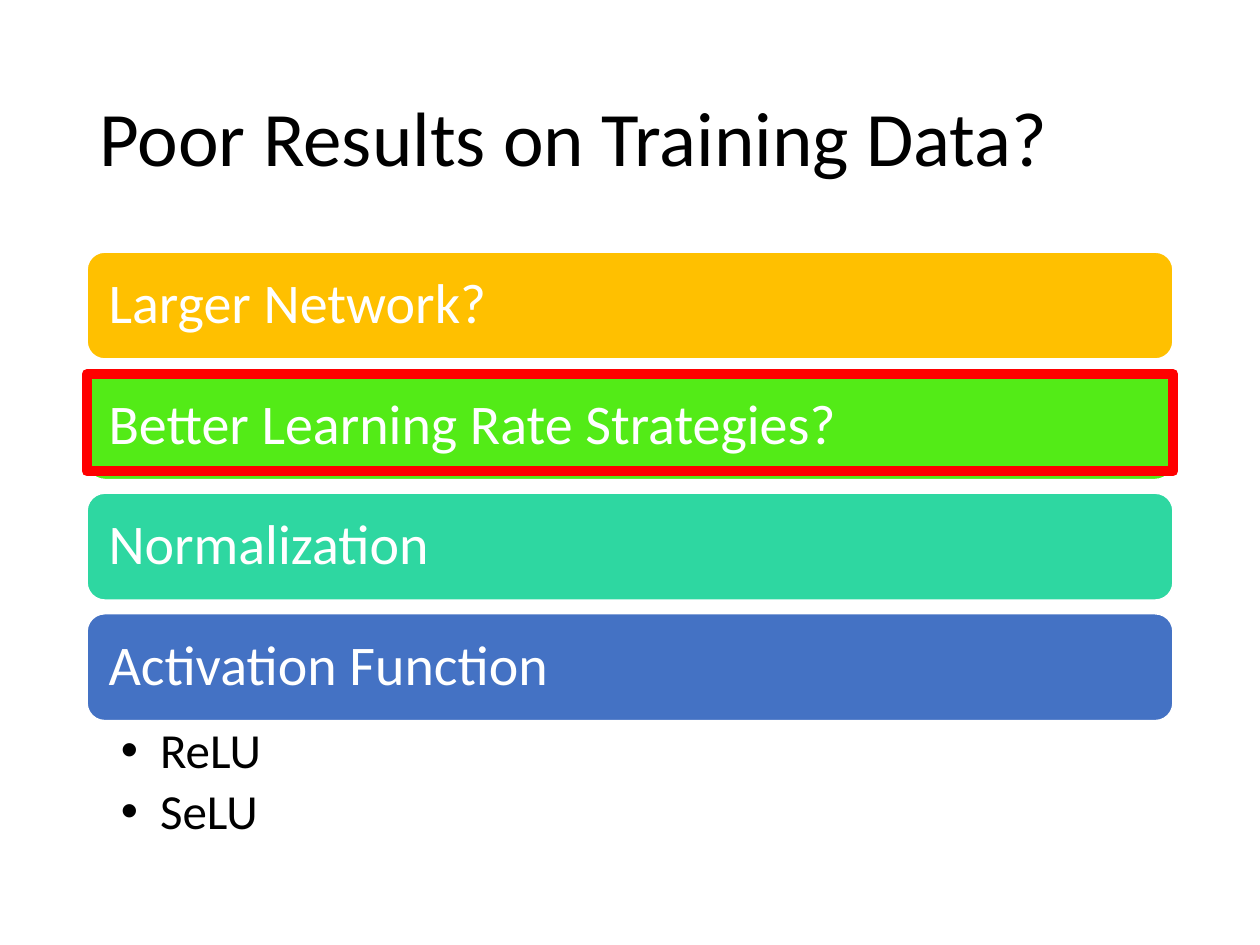
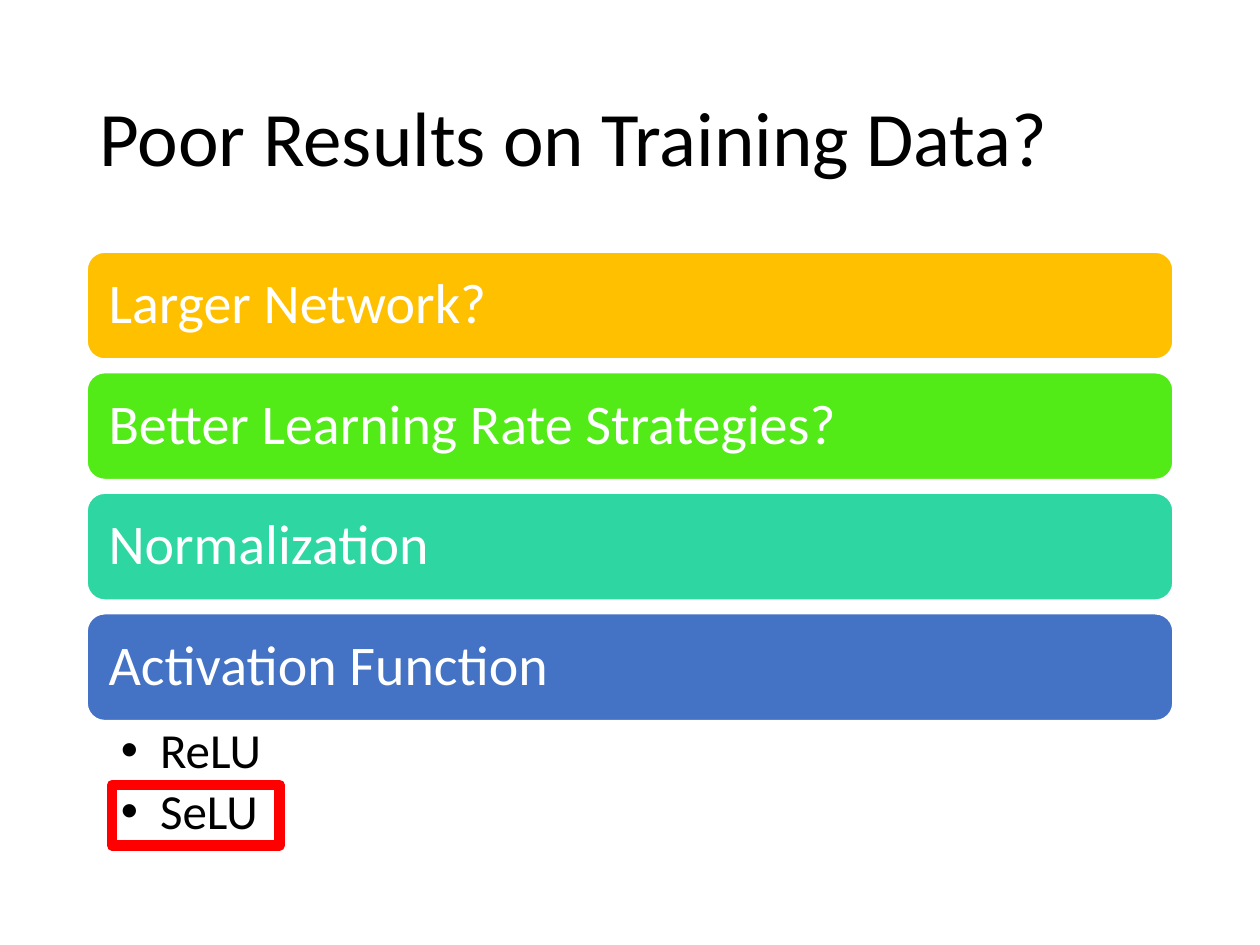
"""Build two slides that step through remedies for poor training results."""
from lxml.etree import SubElement
from pptx import Presentation
from pptx.dml.color import RGBColor as Rgb
from pptx.enum.shapes import MSO_SHAPE as Kind
from pptx.enum.text import MSO_ANCHOR as Anchor, MSO_AUTO_SIZE as Fit, PP_ALIGN as Align
from pptx.oxml.ns import qn
from pptx.util import Inches, Pt

HUES = {"ink": "000000", "paper": "FFFFFF", "mark": "FF0000",
        "gold": "FFC000", "lime": "53EB17", "mint": "2ED7A1", "blue": "4472C4"}
FONT = "Calibri"
LEFT, WIDE = 0.69, 8.62
TOP, LAST, TALL = 2, 4.87, 0.85
BARS = [("Larger Network?", "gold"), ("Better Learning Rate Strategies?", "lime"),
        ("Normalization", "mint"), ("Activation Function", "blue")]
STEP = (LAST - TOP) / (len(BARS) - 1)
UNITS = ["ReLU", "SeLU"]
MARKS = [(LEFT, 2.97, WIDE, 0.77), (0.89, 6.23, 1.33, 0.48)]


def write(shape, text, size=32, hue="ink", anchor=Anchor.MIDDLE,
          pad=(0.1, 0.05, 0.1, 0.05), after=0, dot=None):
    """Fill a shape with one paragraph per line of text."""
    frame = shape.text_frame
    frame.text = text
    frame.word_wrap = True
    frame.auto_size = Fit.NONE
    frame.vertical_anchor = anchor
    frame.margin_left, frame.margin_top, frame.margin_right, frame.margin_bottom = map(Inches, pad)
    for para in frame.paragraphs:
        para.alignment = Align.LEFT
        para.line_spacing = 0.9
        para.space_before, para.space_after = Pt(0), Pt(after)
        font = para.runs[0].font
        font.name, font.size = FONT, Pt(size)
        font.color.rgb = Rgb.from_string(HUES[hue])
        if dot:
            para.level = 1
            props = para._p.get_or_add_pPr()
            props.set("marL", str(Inches(0.31)))
            props.set("indent", str(Inches(-0.31)))
            SubElement(props, qn("a:buChar"), char=dot)


def place(shape, *box):
    """Move and size a shape in inches."""
    shape.left, shape.top, shape.width, shape.height = map(Inches, box)


deck = Presentation()
deck.slide_width, deck.slide_height = Inches(10), Inches(7.5)

for mark in MARKS:
    slide = deck.slides.add_slide(deck.slide_layouts[1])
    title, body = slide.placeholders
    place(title, LEFT, 0.4, WIDE, 1.45)
    write(title, "Poor Results on Training Data?", size=44)

    place(body, LEFT, LAST + TALL, WIDE, 1.04)
    write(body, "\n".join(UNITS), size=28, anchor=Anchor.TOP,
          pad=(0.27, 0.04, 0.22, 0.04), after=5, dot="•")

    for row, (label, hue) in enumerate(BARS):
        box = map(Inches, (LEFT, TOP + row * STEP, WIDE, TALL))
        bar = slide.shapes.add_shape(Kind.ROUNDED_RECTANGLE, *box)
        bar.shadow.inherit = False
        bar.fill.solid()
        bar.fill.fore_color.rgb = Rgb.from_string(HUES[hue])
        bar.line.color.rgb = Rgb.from_string(HUES["paper"])
        bar.line.width = Pt(1)
        write(bar, label, hue="paper", pad=(0.13, 0.13, 0.13, 0.13))

    frame = slide.shapes.add_shape(Kind.RECTANGLE, *map(Inches, mark))
    frame.shadow.inherit = False
    frame.fill.background()
    frame.line.color.rgb = Rgb.from_string(HUES["mark"])
    frame.line.width = Pt(6)

deck.save("out.pptx")
